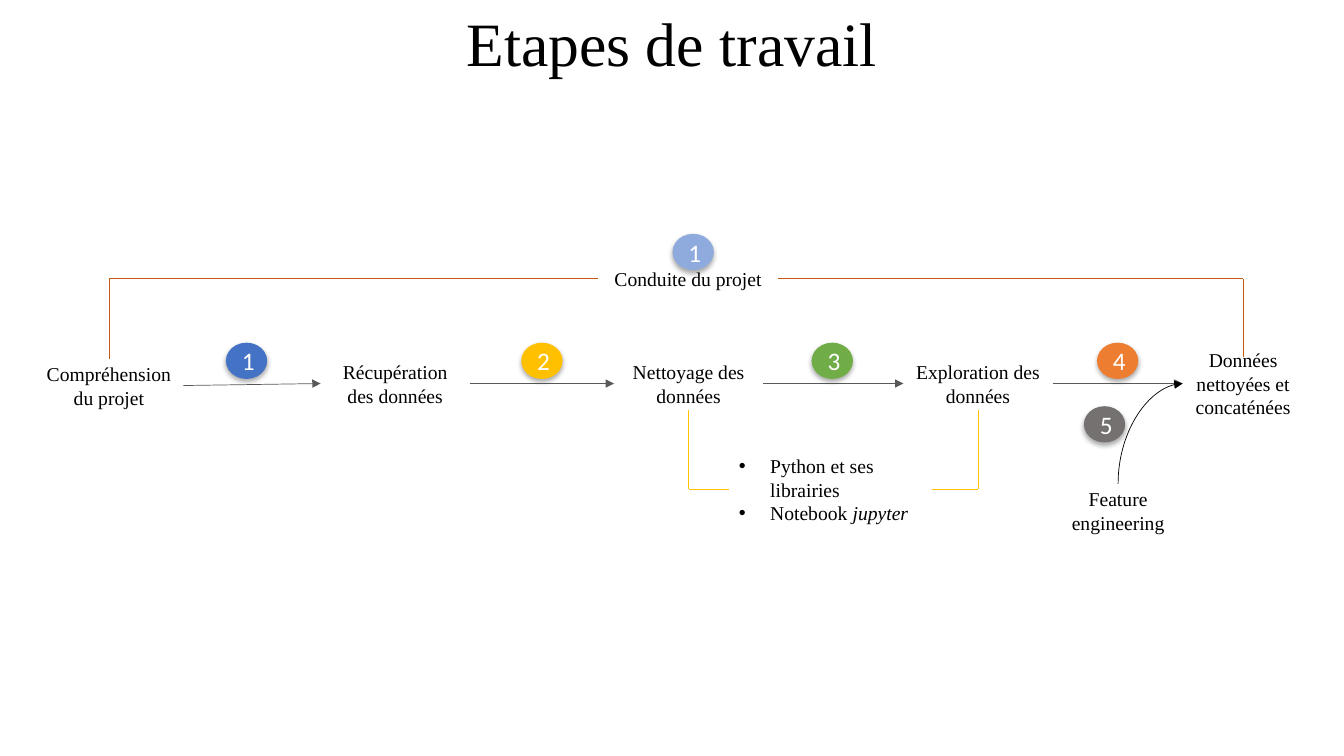
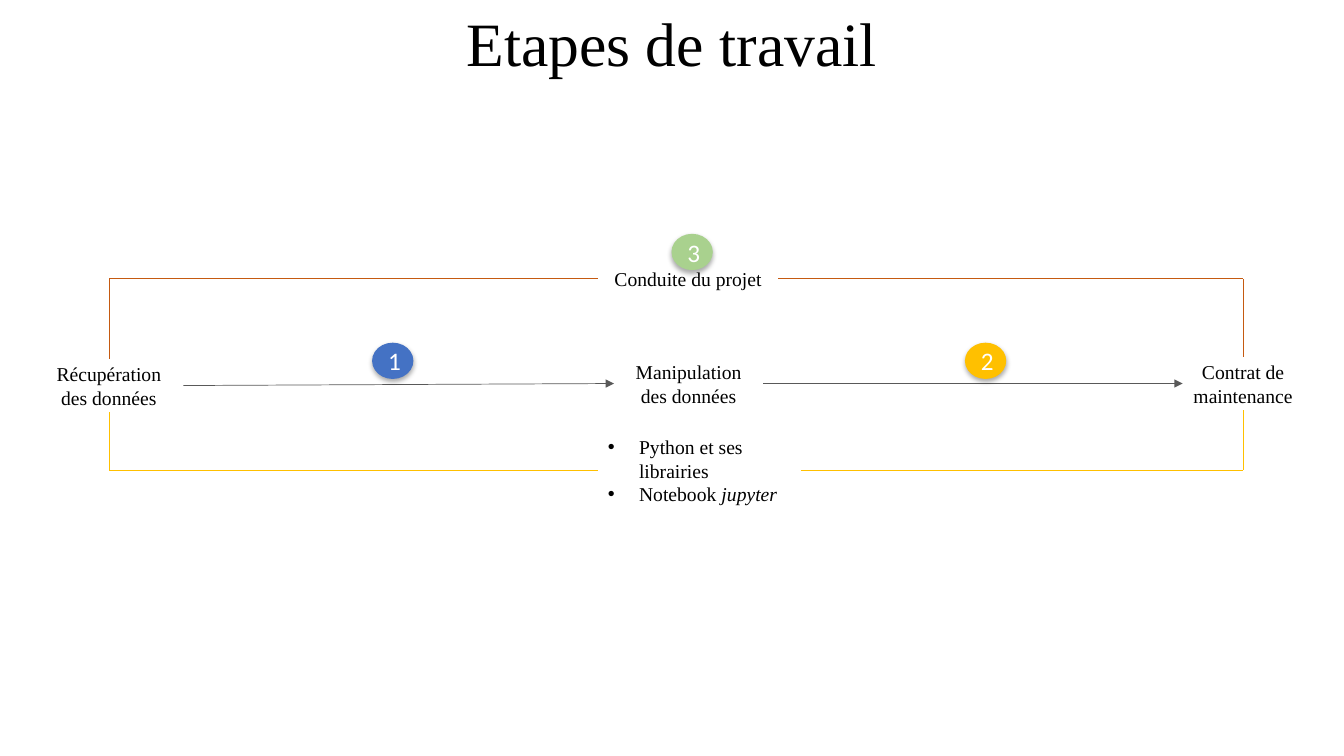
"""Two process diagrams that show the stages of a data project."""
from lxml import etree
from pptx import Presentation
from pptx.dml.color import RGBColor
from pptx.enum.shapes import MSO_CONNECTOR, MSO_SHAPE
from pptx.enum.text import MSO_ANCHOR, MSO_AUTO_SIZE, PP_ALIGN
from pptx.oxml import parse_xml
from pptx.oxml.ns import nsdecls, qn
from pptx.util import Inches, Pt

STRAIGHT, CURVE = MSO_CONNECTOR.STRAIGHT, MSO_CONNECTOR.CURVE
ELLIPSE = MSO_SHAPE.OVAL
MIDDLE = MSO_ANCHOR.MIDDLE
CENTER, LEFT = PP_ALIGN.CENTER, PP_ALIGN.LEFT
NO_AUTOFIT = MSO_AUTO_SIZE.NONE
TOP_SIDE, LEFT_SIDE, BOTTOM_SIDE, RIGHT_SIDE = range(4)

BLACK = RGBColor(0x00, 0x00, 0x00)
WHITE = RGBColor(0xFF, 0xFF, 0xFF)
GREY = RGBColor(0x59, 0x59, 0x59)
TAUPE = RGBColor(0x76, 0x71, 0x71)
BLUE = RGBColor(0x44, 0x72, 0xC4)
LIGHT_BLUE = RGBColor(0x8F, 0xAA, 0xDC)
GOLD = RGBColor(0xFF, 0xC0, 0x00)
GREEN = RGBColor(0x70, 0xAD, 0x47)
LIGHT_GREEN = RGBColor(0xA9, 0xD1, 0x8E)
ORANGE = RGBColor(0xED, 0x7D, 0x31)
RUST = RGBColor(0xC5, 0x5A, 0x11)

SERIF, SANS = "Times New Roman", "Calibri"
SLIDE_W, SLIDE_H = 13.33, 7.5
TITLE_H, LABEL_H = 0.92, 0.53
BADGE_W, BADGE_H = 0.41, 0.36
STAGE_Y, FIRST_STAGE_Y, STAGE_W, LAST_STAGE_W = 3.54, 3.56, 1.48, 1.2
FIRST_X, SECOND_X, MIDDLE_X, FOURTH_X, LAST_X = 0.34, 3.18, 6.09, 8.96, 11.73
BADGE_Y = 3.4
BULLET_INDENT = 0.31

TITLE = "Etapes de travail"
MANAGEMENT = ("Conduite du projet", 5.93, 2.5, 1.79)
TOOLS = [
    [("Python et ses librairies", False)],
    [("Notebook ", False), ("jupyter", True)],
]

SLIDES = [
    {
        "stages": [
            ("Compréhension du projet", FIRST_X, FIRST_STAGE_Y, STAGE_W),
            ("Récupération des données", SECOND_X, STAGE_Y, STAGE_W),
            ("Nettoyage des données", MIDDLE_X, STAGE_Y, STAGE_W),
            ("Exploration des données", FOURTH_X, STAGE_Y, STAGE_W),
            ("Données nettoyées et concaténées", LAST_X, STAGE_Y, LAST_STAGE_W),
        ],
        "tools_at": (7.23, 4.59, 2.01),
        "tools_span": (2, 3),
        "badges": [
            ("1", 2.24, BADGE_Y, BLUE),
            ("2", 5.17, BADGE_Y, GOLD),
            ("3", 8.05, BADGE_Y, GREEN),
            ("4", 10.88, BADGE_Y, ORANGE),
            ("1", 6.67, 2.32, LIGHT_BLUE),
            ("5", 10.75, 4.03, TAUPE),
        ],
        "side_input": ("Feature engineering", 10.35, 4.8, STAGE_W),
    },
    {
        "stages": [
            ("Récupération des données", FIRST_X, FIRST_STAGE_Y, STAGE_W),
            ("Manipulation des données", MIDDLE_X, STAGE_Y, STAGE_W),
            ("Contrat de maintenance", LAST_X, STAGE_Y, LAST_STAGE_W),
        ],
        "tools_at": (5.93, 4.4, 2.01),
        "tools_span": (0, -1),
        "badges": [
            ("1", 3.69, BADGE_Y, BLUE),
            ("2", 9.57, BADGE_Y, GOLD),
            ("3", 6.66, 2.32, LIGHT_GREEN),
        ],
        "side_input": None,
    },
]


def write(frame, content, size=14, font=SERIF, color=BLACK, align=CENTER,
          bullet=False, spacing=None):
    """Fill a text frame with a string or with paragraphs of (text, italic) runs."""
    frame.auto_size = NO_AUTOFIT
    frame.word_wrap = True
    frame.vertical_anchor = MIDDLE
    paragraphs = [[(content, False)]] if isinstance(content, str) else content
    for index, runs in enumerate(paragraphs):
        paragraph = frame.add_paragraph() if index else frame.paragraphs[0]
        paragraph.alignment = align
        if spacing:
            paragraph.line_spacing = spacing
        if bullet:
            properties = paragraph._p.get_or_add_pPr()
            properties.set("marL", str(Inches(BULLET_INDENT)))
            properties.set("indent", str(-Inches(BULLET_INDENT)))
            etree.SubElement(properties, qn("a:buFont")).set("typeface", "Arial")
            etree.SubElement(properties, qn("a:buChar")).set("char", "•")
        for text, italic in runs:
            run = paragraph.add_run()
            run.text = text
            run.font.name = font
            run.font.size = Pt(size)
            run.font.color.rgb = color
            if italic:
                run.font.italic = True


def add_label(slide, content, left, top, width, **text_format):
    """Add a borderless label and return it."""
    label = slide.shapes.add_textbox(
        Inches(left), Inches(top), Inches(width), Inches(LABEL_H))
    write(label.text_frame, content, **text_format)
    return label


def add_badge(slide, digit, left, top, color):
    """Add a numbered ellipse with a soft shadow below it."""
    badge = slide.shapes.add_shape(
        ELLIPSE, Inches(left), Inches(top), Inches(BADGE_W), Inches(BADGE_H))
    badge.fill.solid()
    badge.fill.fore_color.rgb = color
    badge.line.fill.background()
    badge.shadow.inherit = False
    badge._element.spPr.find(qn("a:effectLst")).append(parse_xml(
        f'<a:outerShdw {nsdecls("a")} blurRad="{Pt(3.5)}" dist="{Pt(2.2)}" '
        'dir="5400000" algn="ctr" rotWithShape="0"><a:srgbClr val="000000">'
        '<a:alpha val="32000"/></a:srgbClr></a:outerShdw>'))
    write(badge.text_frame, digit, size=18, font=SANS, color=WHITE)


def add_line(slide, start, end, color, kind=STRAIGHT, arrow=False):
    """Add a thin line between two points in EMU and return it."""
    line = slide.shapes.add_connector(kind, *start, *end)
    line.line.color.rgb = color
    line.line.width = Pt(0.5)
    if arrow:
        outline = line.line._get_or_add_ln()
        etree.SubElement(outline, qn("a:tailEnd")).set("type", "triangle")
    etree.SubElement(line._element.spPr, qn("a:effectLst"))
    return line


def middle(label):
    """Return the centre of a label."""
    return label.left + label.width // 2, label.top + label.height // 2


def add_bracket(slide, first, last, side, note, color):
    """Tie two stages to the note between them with right-angled lines."""
    for stage, note_side in ((first, LEFT_SIDE), (last, RIGHT_SIDE)):
        corner = middle(stage)[0], middle(note)[1]
        upright = add_line(slide, middle(stage), corner, color)
        upright.begin_connect(stage, side)
        level = add_line(slide, middle(note), corner, color)
        level.begin_connect(note, note_side)


def add_curve(slide, source, target):
    """Curve an arrow from the top of one label to the left side of another."""
    start_x, start_y = middle(source)[0], source.top
    end_x, end_y = target.left, middle(target)[1]
    run, rise = end_x - start_x, start_y - end_y
    center_x, center_y = (start_x + end_x) // 2, (start_y + end_y) // 2
    curve = add_line(
        slide, (center_x + rise // 2, center_y + run // 2),
        (center_x - rise // 2, center_y - run // 2), BLACK, CURVE, arrow=True)
    properties = curve._element.spPr
    properties.find(qn("a:xfrm")).set("rot", "5400000")
    properties.find(qn("a:prstGeom")).set("prst", "curvedConnector2")


def build_slide(deck, content):
    """Build one process diagram."""
    slide = deck.slides.add_slide(deck.slide_layouts[5])
    title = slide.shapes.title
    title.left = title.top = 0
    title.width, title.height = deck.slide_width, Inches(TITLE_H)
    write(title.text_frame, TITLE, size=44, spacing=0.9)

    stages = [add_label(slide, *stage) for stage in content["stages"]]
    for stage, following in zip(stages, stages[1:]):
        arrow = add_line(slide, middle(stage), middle(following), GREY, arrow=True)
        arrow.begin_connect(stage, RIGHT_SIDE)
        arrow.end_connect(following, LEFT_SIDE)

    management = add_label(slide, *MANAGEMENT)
    add_bracket(slide, stages[0], stages[-1], TOP_SIDE, management, RUST)
    tools = add_label(slide, TOOLS, *content["tools_at"], align=LEFT, bullet=True)
    first, last = (stages[index] for index in content["tools_span"])
    add_bracket(slide, first, last, BOTTOM_SIDE, tools, GOLD)

    if content["side_input"]:
        add_curve(slide, add_label(slide, *content["side_input"]), stages[-1])
    for badge in content["badges"]:
        add_badge(slide, *badge)


def main():
    """Build and save the deck."""
    deck = Presentation()
    deck.slide_width, deck.slide_height = Inches(SLIDE_W), Inches(SLIDE_H)
    for content in SLIDES:
        build_slide(deck, content)
    deck.save("out.pptx")


if __name__ == "__main__":
    main()
